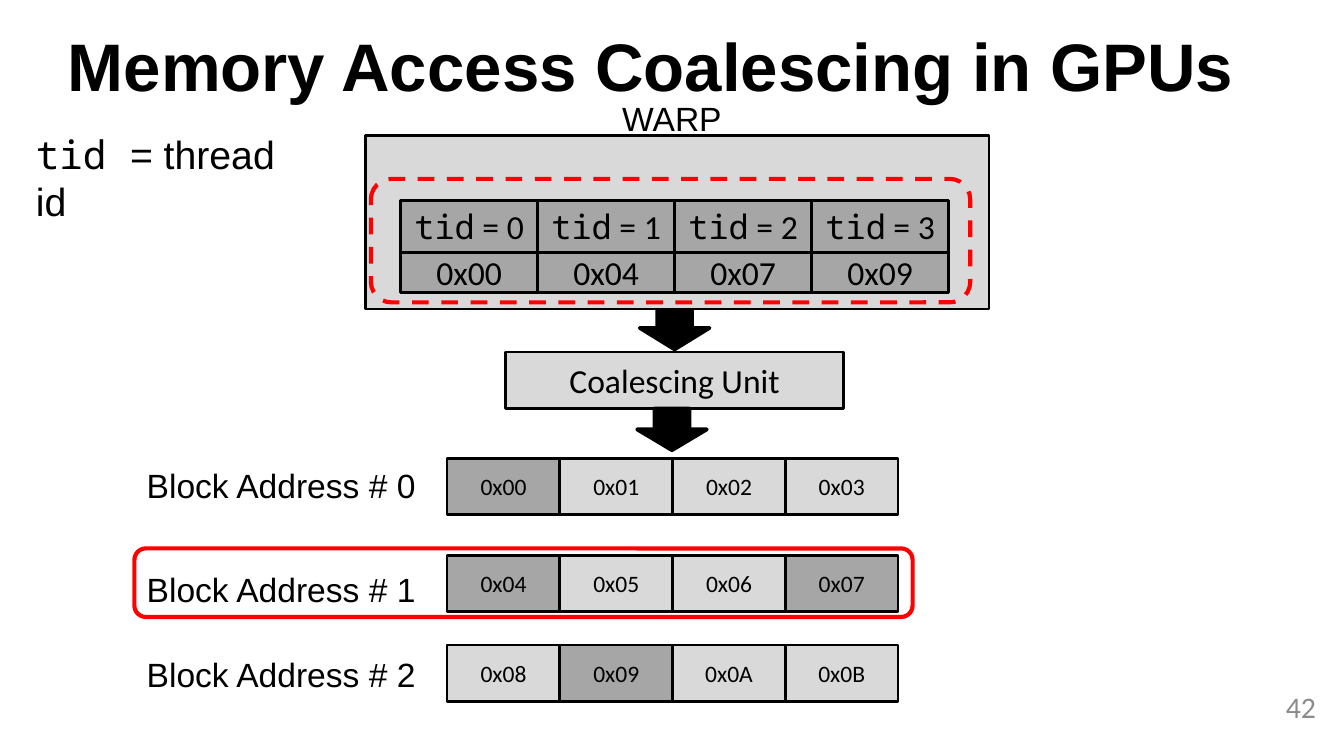
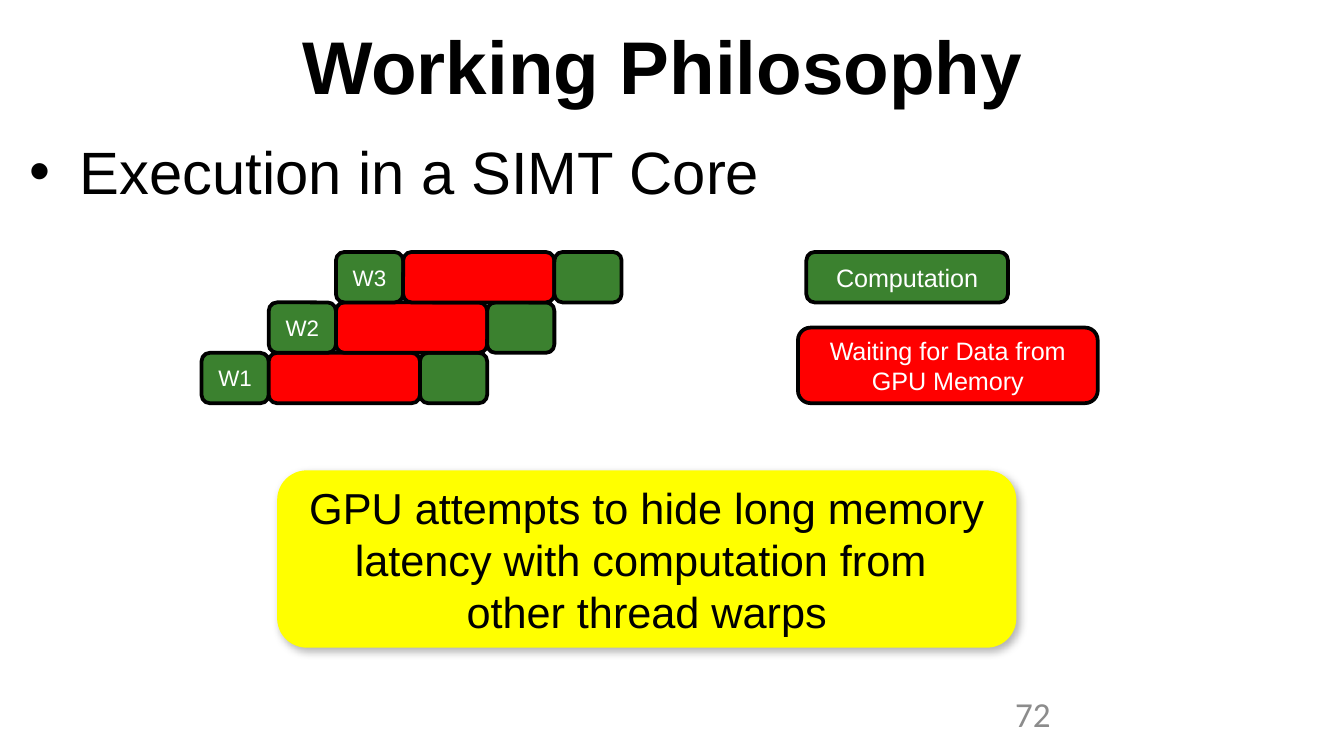
"""Build two slides on memory coalescing and latency hiding in GPUs."""
from lxml import etree
from pptx import Presentation, util as u
from pptx.dml.color import RGBColor
from pptx.enum import dml, shapes, text
from pptx.oxml import ns

Pt = u.Pt
BLACK = RGBColor(0, 0, 0)
WHITE = RGBColor(255, 255, 255)
LIGHT = RGBColor(0xD9, 0xD9, 0xD9)
DARK = RGBColor(0xA6, 0xA6, 0xA6)
MUTED = RGBColor(0x8C, 0x8C, 0x8C)
RED = RGBColor(255, 0, 0)
GREEN = RGBColor(0x3B, 0x81, 0x2F)
YELLOW = RGBColor(255, 255, 0)
SANS, BODY, MONO = "Arial", "Calibri", "Noto Sans Mono"
RECT = shapes.MSO_SHAPE.RECTANGLE
ROUND = shapes.MSO_SHAPE.ROUNDED_RECTANGLE
ARROW = shapes.MSO_SHAPE.DOWN_ARROW
MID = text.MSO_ANCHOR.MIDDLE
LEFT, MIDST, RIGHT = text.PP_ALIGN.LEFT, text.PP_ALIGN.CENTER, text.PP_ALIGN.RIGHT


def write(frame, lines, size, face=SANS, ink=BLACK, align=MIDST, bold=False, **opts):
    """Fill a frame; a line is a string or a list of (words, face) runs."""
    form = {"auto_size": text.MSO_AUTO_SIZE.NONE, "word_wrap": True,
            "vertical_anchor": MID, **opts}
    for key, val in form.items():
        setattr(frame, key, val)
    for num, line in enumerate(lines):
        para = frame.add_paragraph() if num else frame.paragraphs[0]
        para.alignment = align
        para.space_before = Pt(0)
        for words, name in [(line, face)] if isinstance(line, str) else line:
            run = para.add_run()
            run.text = words
            run.font.color.rgb = ink
            for key, val in {"name": name, "size": Pt(size), "bold": bold}.items():
                setattr(run.font, key, val)


def draw(slide, kind, box, fill=None, edge=BLACK, width=1.5):
    """Add a plain shape without a shadow."""
    shape = slide.shapes.add_shape(kind, *map(Pt, box))
    shape.shadow.inherit = False
    if fill is None:
        shape.fill.background()
    else:
        shape.fill.solid()
        shape.fill.fore_color.rgb = fill
    if edge is None:
        shape.line.fill.background()
    else:
        shape.line.color.rgb = edge
        shape.line.width = Pt(width)
    return shape


deck = Presentation()
deck.slide_width, deck.slide_height = Pt(720), Pt(405)
FLAT = {f"margin_{side}": 0 for side in ("left", "right", "top", "bottom")}
PLACE = ("left", "top", "width", "height")

pages = []
for form, title, size, page, box, psize, align in [
    (5, "Memory Access Coalescing in GPUs\t", 36, "42", (544.3, 368, 167.8, 21.6), 16, RIGHT),
    (1, "Working Philosophy ", 40, "72", (490.3, 368.6, 126, 27.4), 18.8, MIDST),
]:
    slide = deck.slides.add_slide(deck.slide_layouts[form])
    head = slide.shapes.title
    for key, val in zip(PLACE, (8.6, 0.7, 703.4, 67.7)):
        setattr(head, key, Pt(val))
    write(head.text_frame, [title], size, bold=True)
    foot = slide.shapes.add_textbox(*map(Pt, box))
    write(foot.text_frame, [page], psize, BODY, MUTED, align)
    pages.append(slide)
warps, work = pages

unit = draw(warps, RECT, (270.7, 188.6, 181.4, 30.2), LIGHT)
write(unit.text_frame, ["Coalescing Unit"], 18, BODY)
draw(warps, ARROW, (342.7, 164.2, 37.4, 23), BLACK, width=2)
draw(warps, ARROW, (341.3, 218.9, 37.4, 22.3), BLACK, width=2)
draw(warps, RECT, (195.8, 72.7, 334.1, 92.9), LIGHT)

wide = 73.4
for num, code in enumerate(["0x00", "0x04", "0x07", "0x09"]):
    left = 214.6 + num * wide
    cell = draw(warps, RECT, (left, 134.6, wide, 22.3), DARK)
    write(cell.text_frame, [code], 18, BODY, **FLAT)
    cell = draw(warps, RECT, (left, 107.3, wide, 28.1), DARK)
    write(cell.text_frame, [[("tid", MONO), (f" = {num}", BODY)]], 18, **FLAT)
dash = draw(warps, ROUND, (198.7, 95.8, 321.1, 66.2), edge=RED, width=2.25)
dash.line.dash_style = dml.MSO_LINE.DASH

step, used = 60.4, {0, 4, 7, 9}
for row, top in enumerate([245.5, 297.4, 345.6]):
    for col in range(4):
        num = row * 4 + col
        cell = draw(warps, RECT, (239.5 + col * step, top, step, 30.2),
                    DARK if num in used else LIGHT)
        write(cell.text_frame, [f"0x{num:02X}"], 12.6, BODY, **FLAT)
draw(warps, ROUND, (72, 293.8, 416.9, 36.7), edge=RED, width=2.25)

labels = [("WARP", 326.2, 49, 68.4)]
labels += [(f"Block Address # {num}", 71.5, top, 159.8)
           for num, top in enumerate([245.5, 301, 347])]
for words, left, top, width in labels:
    note = warps.shapes.add_textbox(*map(Pt, (left, top, width, 28.8)))
    write(note.text_frame, [words], 18, align=LEFT, word_wrap=False,
          vertical_anchor=text.MSO_ANCHOR.TOP)
note = warps.shapes.add_textbox(*map(Pt, (12.2, 66.2, 156.2, 32.4)))
write(note.text_frame, [[("tid ", MONO), ("= thread id", SANS)]], 21, align=LEFT,
      vertical_anchor=text.MSO_ANCHOR.TOP)

body = work.placeholders[1]
for key, val in zip(PLACE, (8.6, 68.4, 703.4, 293.8)):
    setattr(body, key, Pt(val))
write(body.text_frame, ["Execution in a SIMT Core"], 32, align=LEFT,
      vertical_anchor=text.MSO_ANCHOR.TOP)

short, long, tall = 36, 81, 27
for num in range(3):
    left, top = 108 + num * short, 189 - num * tall
    for width, fill, words in [(short, GREEN, f"W{num + 1}"), (long, RED, ""), (short, GREEN, "")]:
        bar = draw(work, ROUND, (left, top, width, tall), fill, width=2)
        if words:
            write(bar.text_frame, [words], 12, ink=WHITE, **FLAT)
        left += width

for words, box, fill in [
    ("Computation", (432, 135, 108, 27), GREEN),
    ("Waiting for Data from GPU Memory", (427.5, 175.5, 160.6, 40.5), RED),
]:
    key = draw(work, ROUND, box, fill, width=2)
    write(key.text_frame, [words], 13.5, ink=WHITE)

claim = draw(work, ROUND, (148.5, 252, 396, 95), YELLOW, None)
write(claim.text_frame, ["GPU attempts to hide long memory latency with computation from ",
                         "other thread warps"], 23.2)
glow = etree.SubElement(claim.element.spPr.find(ns.qn("a:effectLst")), ns.qn("a:outerShdw"),
                        blurRad=str(Pt(4.5)), dist=str(Pt(2.6)), dir=str(53 * 60000))
tint = etree.SubElement(glow, ns.qn("a:srgbClr"), val=str(BLACK))
etree.SubElement(tint, ns.qn("a:alpha"), val="30000")

deck.save("out.pptx")
